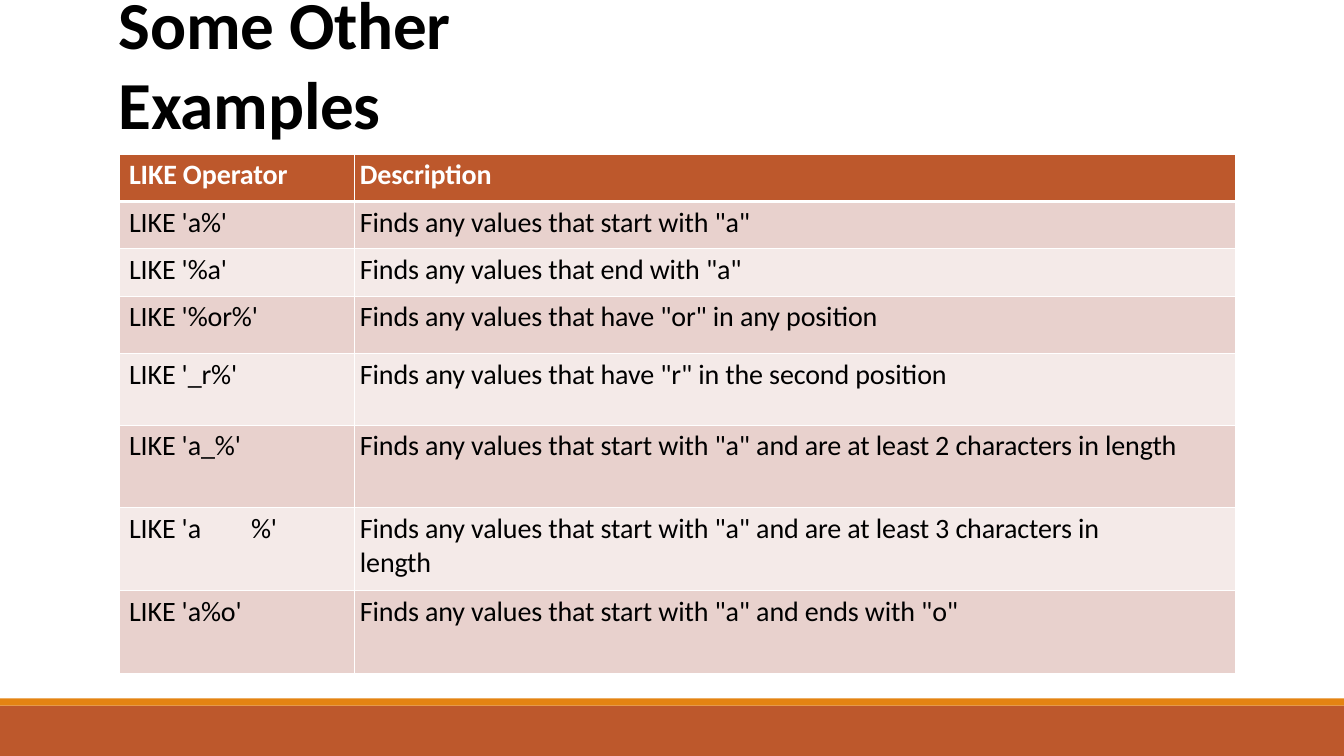
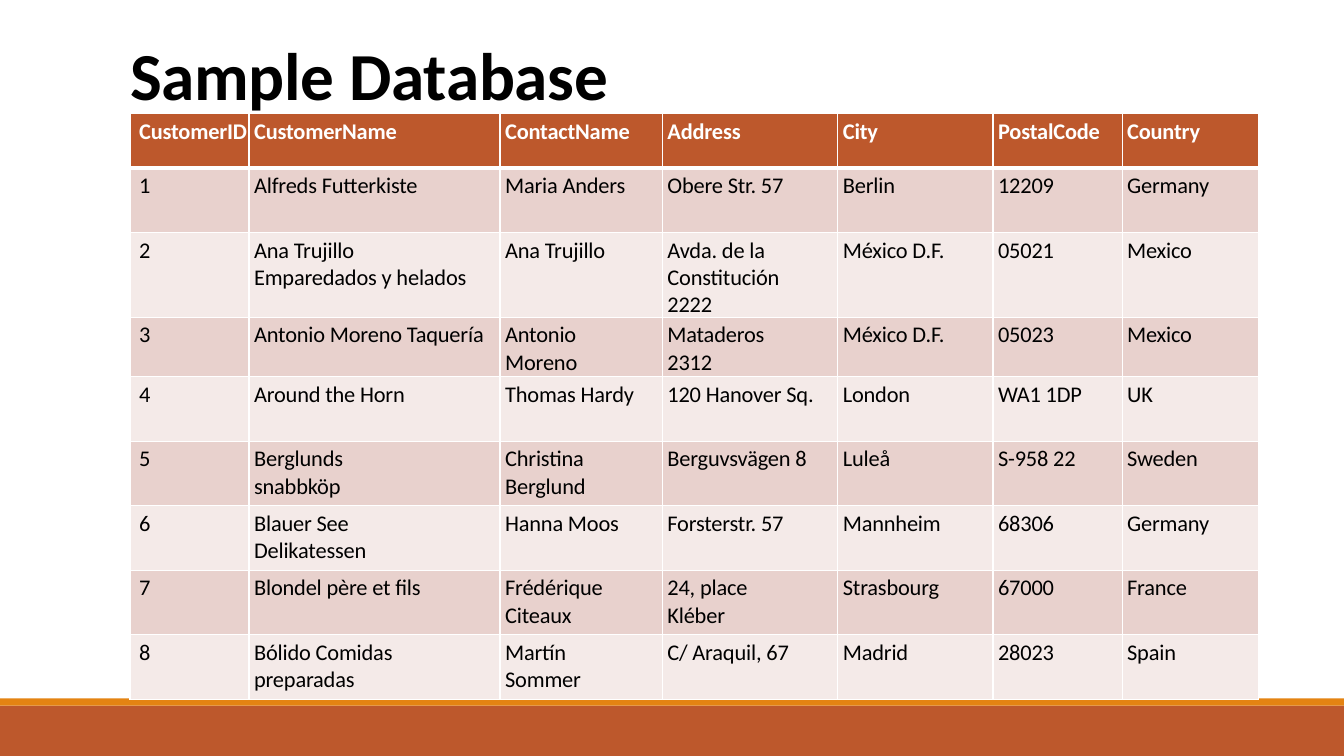
from lxml import etree
from pptx import Presentation
from pptx.dml.color import RGBColor
from pptx.enum.shapes import MSO_SHAPE
from pptx.enum.text import MSO_ANCHOR, MSO_AUTO_SIZE
from pptx.oxml.ns import qn
from pptx.util import Emu, Pt

RECTANGLE = MSO_SHAPE.RECTANGLE
BOTTOM = MSO_ANCHOR.BOTTOM
GROW = MSO_AUTO_SIZE.SHAPE_TO_FIT_TEXT

# Shared look, lengths in px of 1/100 inch
EMU_PER_PX = 9144
PAGE_WIDTH, PAGE_HEIGHT = 1333, 750
FONT = "Calibri"
WHITE, BLACK = "FFFFFF", "000000"
RUST, ORANGE = "BD582C", "E48312"
ROW_FILLS = ("F4EAE8", "E8D1CD")
BANDS = ((700, 50, RUST), (693, 7, ORANGE))

# Slide contents; "\v" breaks a line and "\n" starts a paragraph
LIKE_ROWS = [
    ("LIKE Operator", "Description"),
    ("LIKE 'a%'", 'Finds any values that start with "a"'),
    ("LIKE '%a'", 'Finds any values that end with "a"'),
    ("LIKE '%or%'", 'Finds any values that have "or" in any position'),
    ("LIKE '_r%'", 'Finds any values that have "r" in the second position'),
    ("LIKE 'a_%'", 'Finds any values that start with "a" and are at least 2 characters in length'),
    ("LIKE 'a\t%'", 'Finds any values that start with "a" and are at least 3 characters in\nlength'),
    ("LIKE 'a%o'", 'Finds any values that start with "a" and ends with "o"'),
]
CUSTOMER_ROWS = [
    ("CustomerID", "CustomerName", "ContactName", "Address", "City", "PostalCode", "Country"),
    ("1", "Alfreds Futterkiste", "Maria Anders", "Obere Str. 57", "Berlin", "12209", "Germany"),
    ("2", "Ana Trujillo\vEmparedados y helados", "Ana Trujillo",
     "Avda. de la\vConstitución\v2222", "México D.F.", "05021", "Mexico"),
    ("3", "Antonio Moreno Taquería", "Antonio\vMoreno", "Mataderos\v2312",
     "México D.F.", "05023", "Mexico"),
    ("4", "Around the Horn", "Thomas Hardy", "120 Hanover Sq.", "London", "WA1 1DP", "UK"),
    ("5", "Berglunds\vsnabbköp", "Christina\vBerglund", "Berguvsvägen 8",
     "Luleå", "S-958 22", "Sweden"),
    ("6", "Blauer See\nDelikatessen", "Hanna Moos", "Forsterstr. 57",
     "Mannheim", "68306", "Germany"),
    ("7", "Blondel père et fils", "Frédérique\vCiteaux", "24, place\vKléber",
     "Strasbourg", "67000", "France"),
    ("8", "Bólido Comidas\vpreparadas", "Martín\vSommer", "C/ Araquil, 67",
     "Madrid", "28023", "Spain"),
]


def px(length):
    return Emu(length * EMU_PER_PX)


def color(hex_string):
    return RGBColor.from_string(hex_string)


def set_tab_stop(para, position):
    tabs = etree.SubElement(para._p.get_or_add_pPr(), qn("a:tabLst"))
    etree.SubElement(tabs, qn("a:tab"), pos=str(px(position)), algn="l")


def style_text(frame, size, hex_string, bold, tracking):
    """Give every paragraph one font; tracking is in hundredths of a point."""
    for para in frame.paragraphs:
        para.font.name = FONT
        para.font.size = Pt(size)
        para.font.bold = bold
        para.font.color.rgb = color(hex_string)
        for span in para.runs:
            span._r.get_or_add_rPr().set("spc", str(tracking))


def add_page(deck):
    """Add a blank slide with the two bands at its foot."""
    page = deck.slides.add_slide(deck.slide_layouts[6])
    for top, height, fill in BANDS:
        band = page.shapes.add_shape(RECTANGLE, 0, px(top), px(PAGE_WIDTH), px(height))
        band.shadow.inherit = False
        band.fill.solid()
        band.fill.fore_color.rgb = color(fill)
        band.line.fill.background()
    return page


def add_title(page, text, left, top, width, height):
    box = page.shapes.add_textbox(px(left), px(top), px(width), px(height))
    frame = box.text_frame
    frame.word_wrap = True
    frame.auto_size = GROW
    frame.vertical_anchor = BOTTOM
    frame.margin_left = frame.margin_top = frame.margin_right = frame.margin_bottom = 0
    frame.text = text
    style_text(frame, 48, BLACK, True, -20)


def set_borders(cell, top_width, bottom_width):
    properties = cell._tc.get_or_add_tcPr()
    widths = {"a:lnL": 1, "a:lnR": 1, "a:lnT": top_width, "a:lnB": bottom_width}
    for tag, width in widths.items():
        line = etree.SubElement(properties, qn(tag), w=str(Pt(width)))
        fill = etree.SubElement(line, qn("a:solidFill"))
        etree.SubElement(fill, qn("a:srgbClr"), val=WHITE)


def add_grid(page, rows, left, top, widths, heights, size, first_indent):
    """Add a table with a rust header and alternating row fills."""
    frame = page.shapes.add_table(len(rows), len(widths), px(left), px(top),
                                  px(sum(widths)), px(sum(heights)))
    table = frame.table
    table.horz_banding = False
    for column, width in zip(table.columns, widths):
        column.width = px(width)
    for row, height in zip(table.rows, heights):
        row.height = px(height)
    for i, texts in enumerate(rows):
        header = i == 0
        for j, text in enumerate(texts):
            cell = table.cell(i, j)
            cell.margin_left = px(5 if j else first_indent)
            cell.margin_top = px(4)
            cell.margin_right = cell.margin_bottom = 0
            set_borders(cell, 3 if i == 1 else 1, 3 if header else 1)
            cell.fill.solid()
            cell.fill.fore_color.rgb = color(RUST if header else ROW_FILLS[i % 2])
            cell.text_frame.text = text
            if "\t" in text:
                set_tab_stop(cell.text_frame.paragraphs[0], 121)
            style_text(cell.text_frame, size, WHITE if header else BLACK, header, -10)


def main():
    deck = Presentation()
    deck.slide_width, deck.slide_height = px(PAGE_WIDTH), px(PAGE_HEIGHT)

    # LIKE patterns
    page = add_page(deck)
    add_title(page, "Some Other Examples", 118, 29, 584, 113)
    add_grid(page, LIKE_ROWS, 118, 153, [234, 874],
             [47] * 3 + [57, 71] + [82] * 3, 20, 10)

    # Customer table
    page = add_page(deck)
    add_title(page, "Sample Database", 129, 31, 661, 82)
    add_grid(page, CUSTOMER_ROWS, 129, 113, [118, 249, 161, 174, 154, 128, 135],
             [54, 64, 83, 59] + [64] * 5, 16, 9)

    deck.save("out.pptx")


if __name__ == "__main__":
    main()
